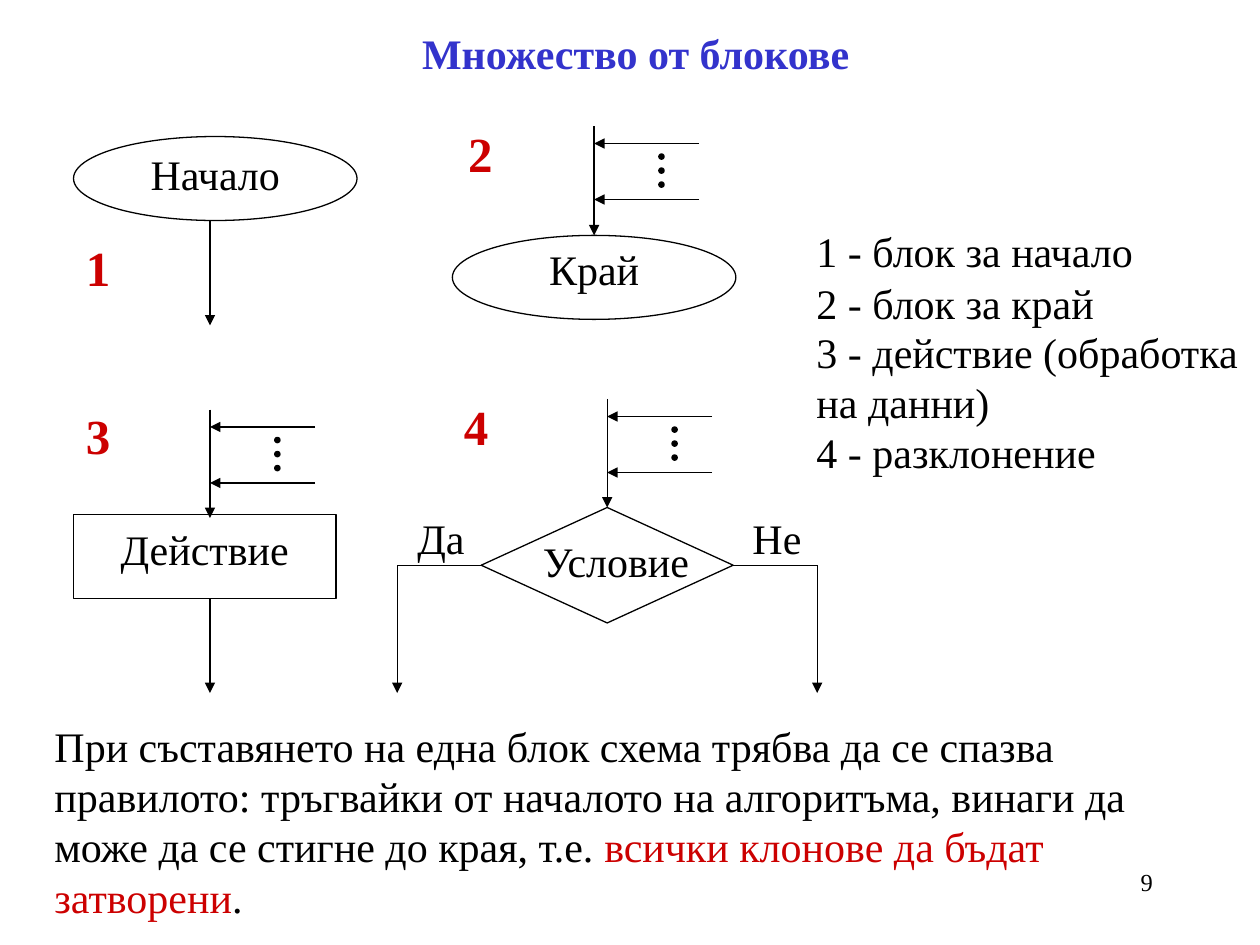
from lxml.etree import SubElement
from pptx import Presentation
from pptx.dml.color import RGBColor
from pptx.enum.shapes import MSO_CONNECTOR, MSO_SHAPE
from pptx.enum.text import MSO_ANCHOR, MSO_AUTO_SIZE, PP_ALIGN
from pptx.oxml.ns import qn
from pptx.util import Pt

BLACK = RGBColor(0x00, 0x00, 0x00)
BLUE = RGBColor(0x33, 0x33, 0xCC)
RED = RGBColor(0xCC, 0x00, 0x00)

BODY = {"name": "Times New Roman", "size": Pt(24), "bold": False}
TITLE = BODY | {"bold": True}
NUMBER = BODY | {"size": Pt(28), "bold": True}
FOOTER = BODY | {"size": Pt(14)}

TOP, LEFT, BOTTOM, RIGHT = range(4)


def write(shape, spans, style=BODY, align=PP_ALIGN.LEFT, inset=(7.2, 3.6)):
    """Fill a shape with one paragraph made of (text, colour) spans."""
    across, down = map(Pt, inset)
    frame_format = {
        "word_wrap": True, "auto_size": MSO_AUTO_SIZE.NONE,
        "vertical_anchor": MSO_ANCHOR.TOP,
        "margin_left": across, "margin_right": across,
        "margin_top": down, "margin_bottom": down,
    }
    frame = shape.text_frame
    for name, value in frame_format.items():
        setattr(frame, name, value)
    para = frame.paragraphs[0]
    para.alignment = align
    for text, colour in spans:
        span = para.add_run()
        span.text = text
        for name, value in style.items():
            setattr(span.font, name, value)
        span.font.color.rgb = colour


def add_text(page, box, spans, **options):
    write(page.shapes.add_textbox(*map(Pt, box)), spans, **options)


def add_caption(page, box, text):
    add_text(page, box, [(text, BLACK)], align=PP_ALIGN.CENTER, inset=(0, 0))


def add_number(page, left, top, text):
    add_text(page, (left, top, 30, 41), [(text, RED)], style=NUMBER)


def add_outline(page, kind, box, filled=False):
    shape = page.shapes.add_shape(kind, *map(Pt, box))
    shape.shadow.inherit = False
    if filled:
        shape.fill.solid()
        shape.fill.fore_color.rgb = BLACK
    else:
        shape.fill.background()
    shape.line.color.rgb = BLACK
    shape.line.width = Pt(0.75)
    return shape


def add_line(page, start, end, arrow=True):
    line = page.shapes.add_connector(MSO_CONNECTOR.STRAIGHT, *map(Pt, start + end))
    line.line.color.rgb = BLACK
    line.line.width = Pt(0.75)
    if arrow:
        SubElement(line.line._get_or_add_ln(), qn("a:tailEnd"),
                   type="triangle", w="med", len="med")
    SubElement(line._element.spPr, qn("a:effectLst"))
    return line


def add_entry(page, x, top, bottom):
    """Draw an incoming arrow with several arrows merging into it."""
    entry = add_line(page, (x, top), (x, bottom))
    for drop in (10, 42):
        add_line(page, (x + 60, top + drop), (x, top + drop))
    for drop in (16, 24, 32):
        add_outline(page, MSO_SHAPE.OVAL, (x + 37, top + drop, 3, 3), filled=True)
    return entry


def add_start_block(page, left, top):
    add_outline(page, MSO_SHAPE.OVAL, (left, top, 162, 48))
    add_line(page, (left + 78, top + 48), (left + 78, top + 108))
    add_caption(page, (left + 33, top + 7, 96, 29), "Начало")
    add_number(page, left, top + 54, "1")


def add_end_block(page, left, top):
    oval = add_outline(page, MSO_SHAPE.OVAL, (left, top + 62.5, 162, 48))
    entry = add_entry(page, left + 81, top, top + 62.5)
    entry.end_connect(oval, TOP)
    add_caption(page, (left + 33, top + 67, 96, 29), "Край")
    add_number(page, left + 2, top - 5, "2")


def add_action_block(page, left, top):
    add_outline(page, MSO_SHAPE.RECTANGLE, (left, top + 60, 150, 48))
    add_entry(page, left + 78, top, top + 62)
    add_line(page, (left + 78, top + 108), (left + 78, top + 162))
    add_caption(page, (left + 15, top + 65, 120, 29), "Действие")
    add_number(page, left, top - 6, "3")


def add_branch_block(page, left, top):
    middle, height = top + 95, 66
    diamond = add_outline(page, MSO_SHAPE.DIAMOND,
                          (left + 48, middle - height / 2, 144, height))
    entry = add_entry(page, left + 120, top, middle - height / 2)
    entry.end_connect(diamond, TOP)
    sides = (
        (left, left + 48, LEFT, left + 7, "Да"),
        (left + 240, left + 192, RIGHT, left + 199, "Не"),
    )
    for outer, corner, site, caption_left, caption in sides:
        side = add_line(page, (corner, middle), (outer, middle), arrow=False)
        side.begin_connect(diamond, site)
        add_line(page, (outer, middle), (outer, middle + 73))
        add_caption(page, (caption_left, middle - 30, 36, 29), caption)
    add_caption(page, (left + 74, middle - 17, 102, 29), "Условие")
    add_number(page, left + 31, top - 5, "4")


def add_legend(page, left, top, width):
    entries = (
        (0, 36, "1 - блок за начало"),
        (29.5, 36, "2 - блок за край"),
        (57.5, 65, "3 - действие (обработка на данни)"),
        (114.5, 36, "4 - разклонение"),
    )
    for drop, height, text in entries:
        add_text(page, (left, top + drop, width, height), [(text, BLACK)])


def add_title(page, box):
    title = page.shapes.title
    title.left, title.top, title.width, title.height = map(Pt, box)
    write(title, [("Множество от блокове", BLUE)], style=TITLE)


def add_rule(page, box):
    add_text(page, box, [
        ("При съставянето на една блок схема трябва да се спазва правилото: "
         "тръгвайки от началото на алгоритъма, винаги да може да се стигне "
         "до края, т.е. ", BLACK),
        ("всички клонове да бъдат затворени", RED),
        (".", BLACK),
    ])


def main():
    deck = Presentation()
    deck.slide_width, deck.slide_height = Pt(720), Pt(540)
    page = deck.slides.add_slide(deck.slide_layouts[5])
    add_title(page, (234, 12, 270, 36))
    add_start_block(page, 42, 78)
    add_end_block(page, 258.5, 72)
    add_action_block(page, 42, 234)
    add_branch_block(page, 227, 228)
    add_legend(page, 459.5, 125.5, 258)
    add_rule(page, (24, 408, 666, 122))
    add_text(page, (516, 492, 150, 36), [("9", BLACK)],
             style=FOOTER, align=PP_ALIGN.RIGHT)
    deck.save("out.pptx")


if __name__ == "__main__":
    main()
